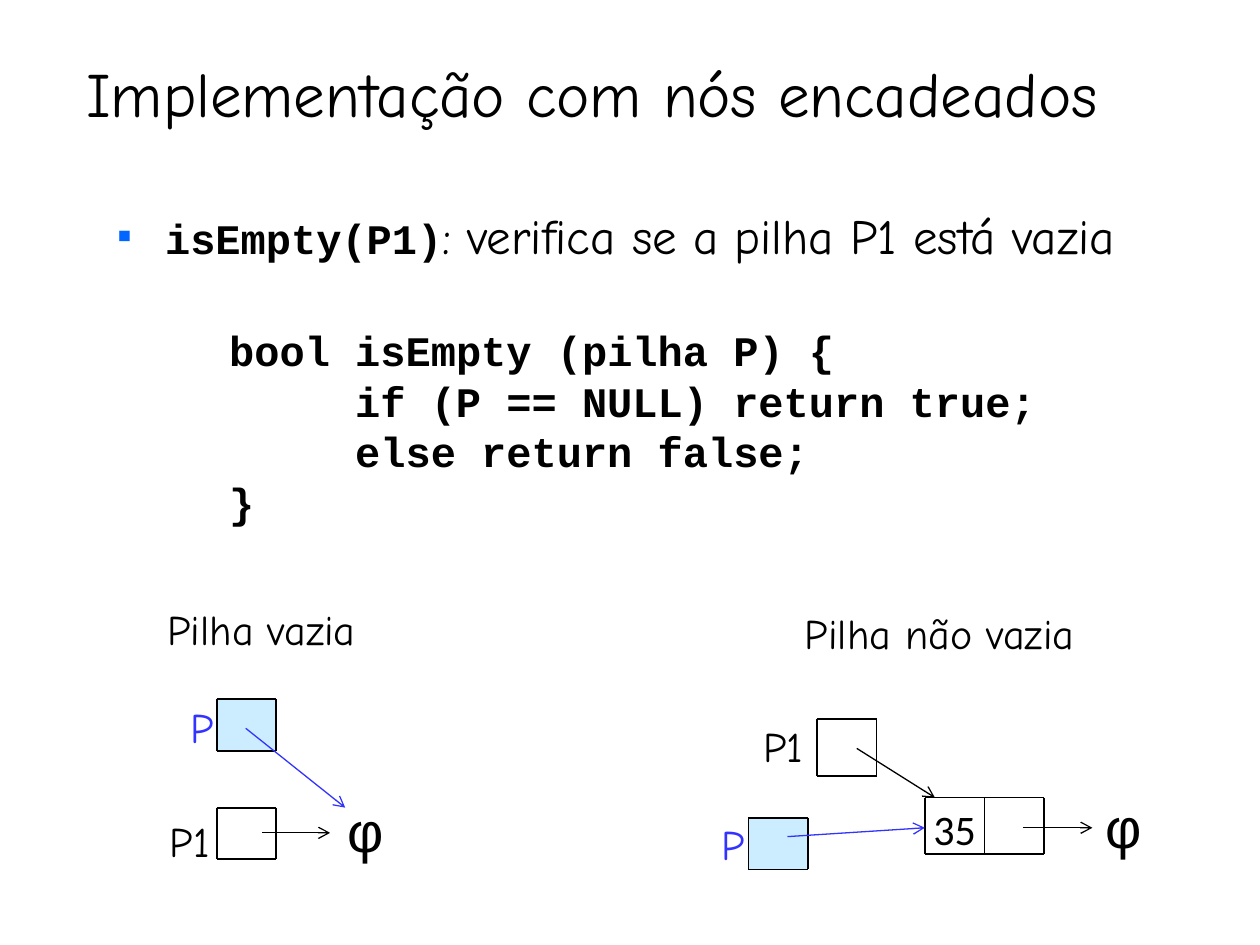
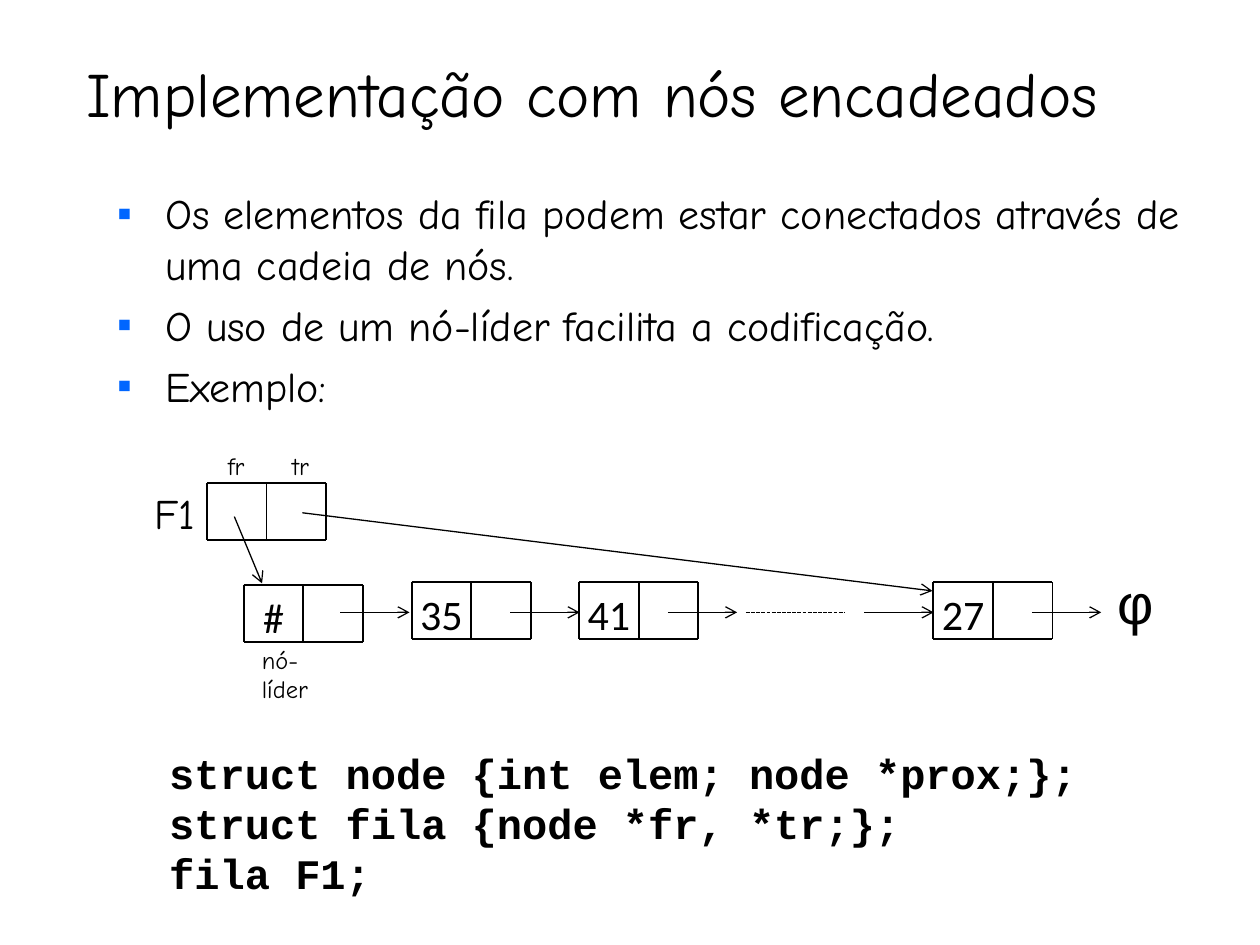
"""Build two slides on stacks and queues made of linked nodes."""
from lxml import etree
from pptx import Presentation
from pptx.dml.color import RGBColor
from pptx.enum.dml import MSO_LINE
from pptx.enum.shapes import MSO_CONNECTOR, MSO_SHAPE
from pptx.enum.text import MSO_ANCHOR, MSO_AUTO_SIZE, PP_ALIGN
from pptx.oxml.ns import qn
from pptx.util import Inches, Pt

RECT = MSO_SHAPE.RECTANGLE
LINE = MSO_CONNECTOR.STRAIGHT
DASH = MSO_LINE.SQUARE_DOT
LEFT, MID = PP_ALIGN.LEFT, PP_ALIGN.CENTER
LOW = MSO_ANCHOR.BOTTOM
FIXED = MSO_AUTO_SIZE.NONE
HEX = {"ink": "000000", "blue": "3333FF", "mark": "0066FF", "sky": "CCECFF", "white": "FFFFFF"}
RGB = {name: RGBColor.from_string(code) for name, code in HEX.items()}
HAND, CODE, NUM, SIGN = "Comic Neue", "Courier New", "Calibri", "Arial"
TITLE = "Implementação com nós encadeados"

deck = Presentation()
deck.slide_width, deck.slide_height = Inches(10), Inches(7.5)
COL, ROW = deck.slide_width / 100, deck.slide_height / 75
CELL = 4.73


def grid(x, y, *rest):
    """Turn grid columns and rows into slide lengths."""
    return [round(n * unit) for n, unit in zip((x, y, *rest), (COL, ROW) * 2)]


def write(frame, lines, font, size, tint="ink", bold=False, gap=0, bullet=False):
    """Fill a text frame with one paragraph for each line."""
    frame.word_wrap, frame.auto_size = True, FIXED
    for i, line in enumerate(lines):
        para = frame.paragraphs[0] if i == 0 else frame.add_paragraph()
        para.text = line
        props = para._p.get_or_add_pPr()
        if bullet:
            props.set("marL", str(Inches(0.38)))
            props.set("indent", str(-Inches(0.38)))
            shade = etree.SubElement(props, qn("a:buClr"))
            etree.SubElement(shade, qn("a:srgbClr"), val=HEX["mark"])
            etree.SubElement(props, qn("a:buChar"), char="▪")
        if line.startswith("\t"):
            tabs = etree.SubElement(props, qn("a:tabLst"))
            etree.SubElement(tabs, qn("a:tab"), pos=str(Inches(1)), algn="l")
        para.alignment = LEFT
        para.space_before = Pt(gap if i else 0)
        para.font.name, para.font.size = font, Pt(size)
        para.font.bold, para.font.color.rgb = bold, RGB[tint]


pages = [
    {
        "wide": 87.4, "body": (8.3, 15.8, 91.7, 9.2), "size": 28, "gap": 7,
        "list": ["isEmpty(P1): verifica se a pilha P1 está vazia"],
        "place": (17.2, 25.3, 67.2, 17),
        "code": ["bool isEmpty (pilha P) {", "\tif (P == NULL) return true;", "\telse return false;", "}"],
        "cells": [
            (17.2, 55.5, 4.1, "sky", [""]), (17.2, 64.1, 4.1, "white", [""]),
            (73.4, 63.3, 4.5, "white", ["35", ""]), (64.84, 57.06, 4.5, "white", [""]),
            (59.4, 64.9, 4.1, "sky", [""]),
        ],
        "wires": [
            (19.5, 57.8, 27.4, 64.1, "blue"), (20.8, 66.1, 26.2, 66.1, "ink"),
            (68, 59.4, 74.2, 63.3, "ink"), (81.2, 65.7, 86.7, 65.7, "ink"),
            (62.5, 66.4, 73.4, 65.7, "blue"),
        ],
        "dots": [],
        "words": [
            ("P", 14.1, 55.15, 3.8, 24, "blue"), ("P1", 12.5, 64.2, 5.3, 24, "ink"),
            ("Pilha vazia", 12.3, 47.4, 17, 24, "ink"), ("P1", 59.6, 56.7, 5.2, 24, "ink"),
            ("P", 56.3, 64.5, 3.8, 24, "blue"), ("Pilha não vazia", 62.9, 47.7, 23.4, 24, "ink"),
        ],
        "ends": [(26.6, 62.75), (86.75, 62.4)],
    },
    {
        "wide": 90.6, "body": (8.3, 14.4, 88, 20.7), "size": 24, "gap": 6,
        "list": [
            "Os elementos da fila podem estar conectados através de uma cadeia de nós.",
            "O uso de um nó-líder facilita a codificação.", "Exemplo:",
        ],
        "place": (12.45, 58.8, 77.6, 13),
        "code": ["struct node {int elem; node *prox;};", "struct fila {node *fr, *tr;};", "fila F1;"],
        "cells": [
            (16.43, 38.36, 4.5, "white", ["", ""]), (19.34, 46.44, 4.5, "white", ["#", ""]),
            (32.67, 46.2, 4.5, "white", ["35", ""]), (45.96, 46.2, 4.5, "white", ["41", ""]),
            (74.07, 46.2, 4.5, "white", ["27", ""]),
        ],
        "wires": [
            (x, 48.6, x + 5.5, 48.6, "ink") for x in (27, 40.5, 53, 68.6, 81.9)
        ] + [(18.6, 41, 20.8, 46.3, "ink"), (24, 40.7, 74, 46.9, "ink")],
        "dots": [(59.2, 48.6, 67, 48.6, "ink")],
        "words": [
            ("F1", 11.3, 38.2, 7.2, 24, "ink"), ("nó-líder", 19.8, 50.7, 8.5, 14, "ink"),
            ("fr", 17.1, 35.3, 4, 14, "ink"), ("tr", 22.2, 35.3, 4, 14, "ink"),
        ],
        "ends": [(87.7, 44.6)],
    },
]

for page in pages:
    slide = deck.slides.add_slide(deck.slide_layouts[1])
    shapes = slide.shapes
    title, body = shapes.title, slide.placeholders[1]
    title.left, title.top, title.width, title.height = grid(5.85, 3.3, page["wide"], 7.5)
    title.text_frame.vertical_anchor = LOW
    write(title.text_frame, [TITLE], HAND, 36)
    body.left, body.top, body.width, body.height = grid(*page["body"])
    write(body.text_frame, page["list"], HAND, page["size"], gap=page["gap"], bullet=True)
    code = shapes.add_textbox(*grid(*page["place"]))
    write(code.text_frame, page["code"], CODE, 24, bold=True)

    edges = []
    for x, y, tall, fill, marks in page["cells"]:
        end, base = x + len(marks) * CELL, y + tall
        edges += [(x, level, end, level, "ink") for level in (y, base)]
        edges += [(x + i * CELL, y, x + i * CELL, base, "ink") for i in range(len(marks) + 1)]
        for i, mark in enumerate(marks):
            cell = shapes.add_shape(RECT, *grid(x + i * CELL, y, CELL, tall))
            cell.shadow.inherit = False
            cell.fill.solid()
            cell.fill.fore_color.rgb = RGB[fill]
            cell.line.fill.background()
            if mark:
                frame = cell.text_frame
                frame.margin_left = frame.margin_right = frame.margin_top = Inches(0.01)
                frame.margin_bottom, frame.vertical_anchor = 0, LOW
                write(frame, [mark], NUM, 24)
                frame.paragraphs[0].alignment = MID

    for kind, width in (("edges", 1), ("wires", 0.75), ("dots", 0.75)):
        for *ends, tint in edges if kind == "edges" else page[kind]:
            link = shapes.add_connector(LINE, *grid(*ends))
            link.line.color.rgb, link.line.width = RGB[tint], Pt(width)
            if kind == "dots":
                link.line.dash_style = DASH
            if kind == "wires":
                etree.SubElement(link.line._get_or_add_ln(), qn("a:tailEnd"), type="arrow")
            etree.SubElement(link._element.spPr, qn("a:effectLst"))

    words = [(*word, HAND) for word in page["words"]]
    words += [("φ", x, y, 4.4, 32, "ink", SIGN) for x, y in page["ends"]]
    for text, x, y, wide, size, tint, font in words:
        box = shapes.add_textbox(*grid(x, y, wide, size / 5))
        write(box.text_frame, [text], font, size, tint)

head = deck.slides[0].placeholders[1].text_frame.paragraphs[0]
name, rest = head.runs[0].text.split(":")
head.runs[0].text = name
head.add_run().text = ":" + rest
call = head.runs[0].font
call.name, call.size, call.bold = CODE, Pt(24), True

deck.save("out.pptx")
